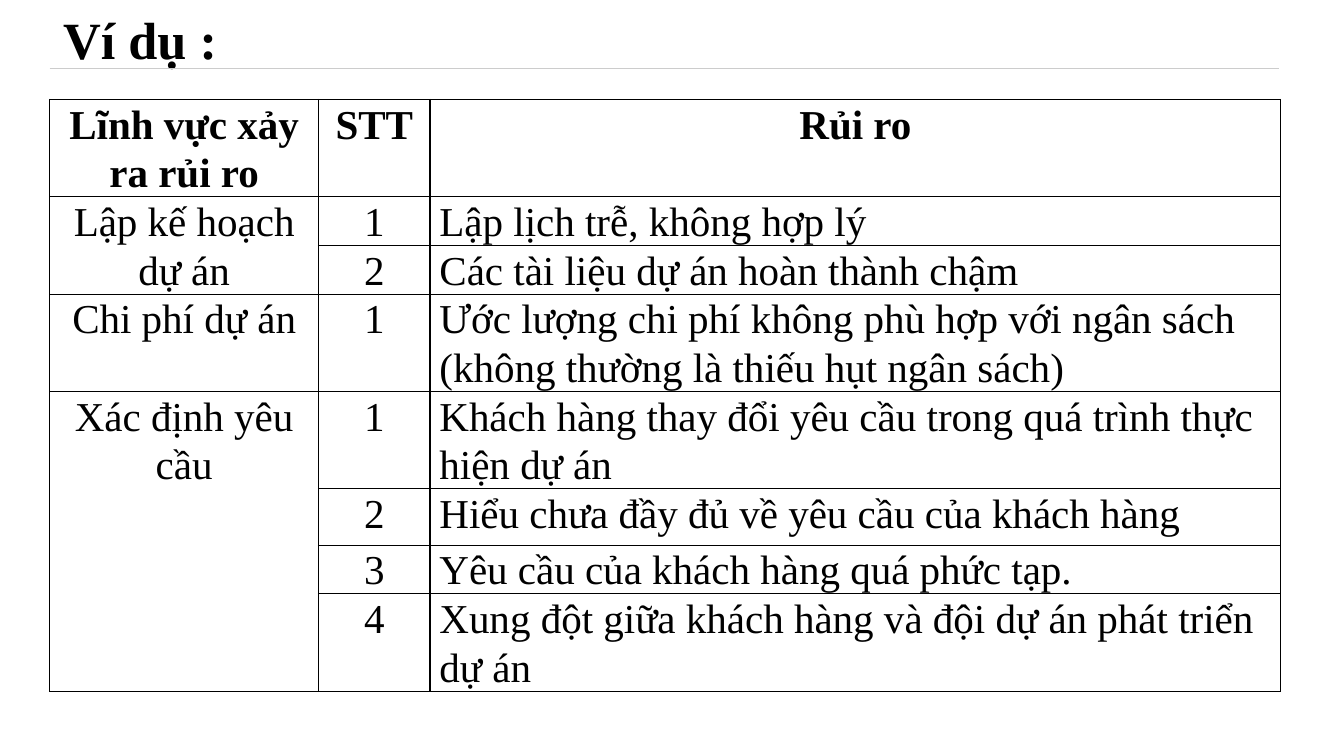
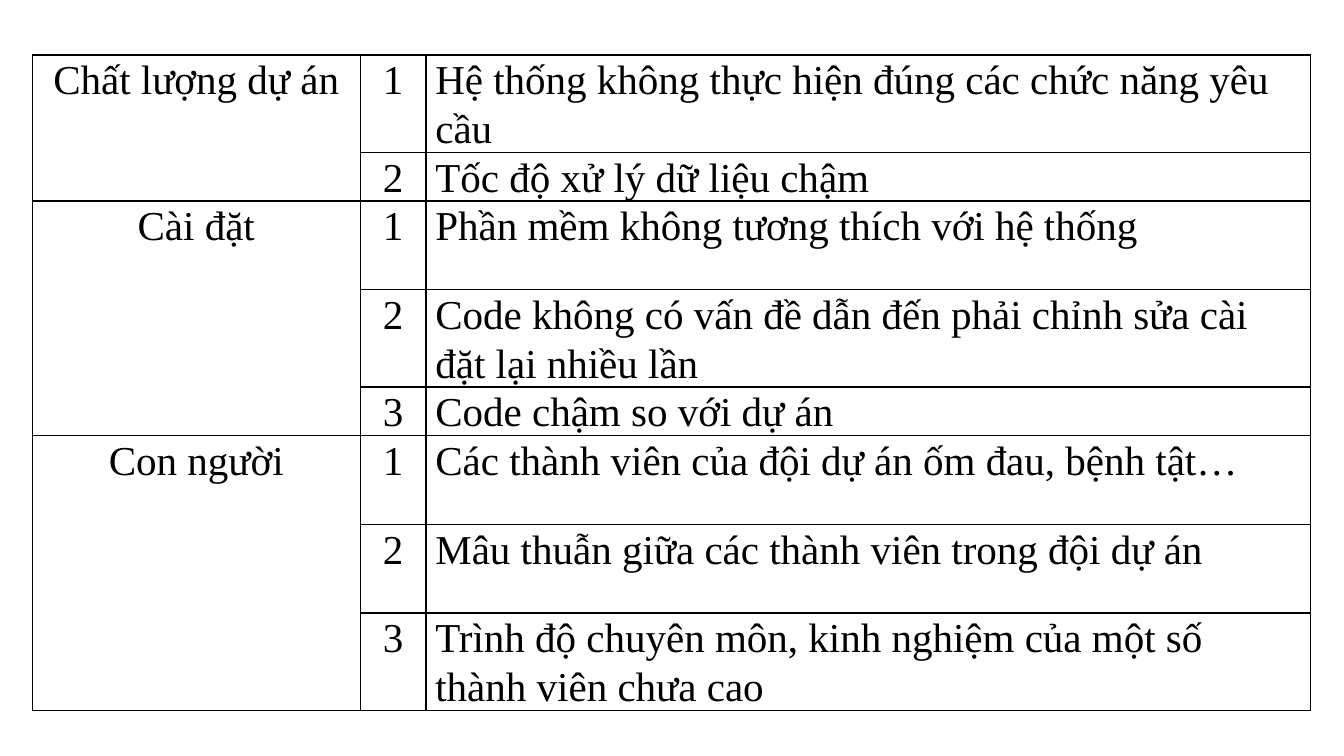
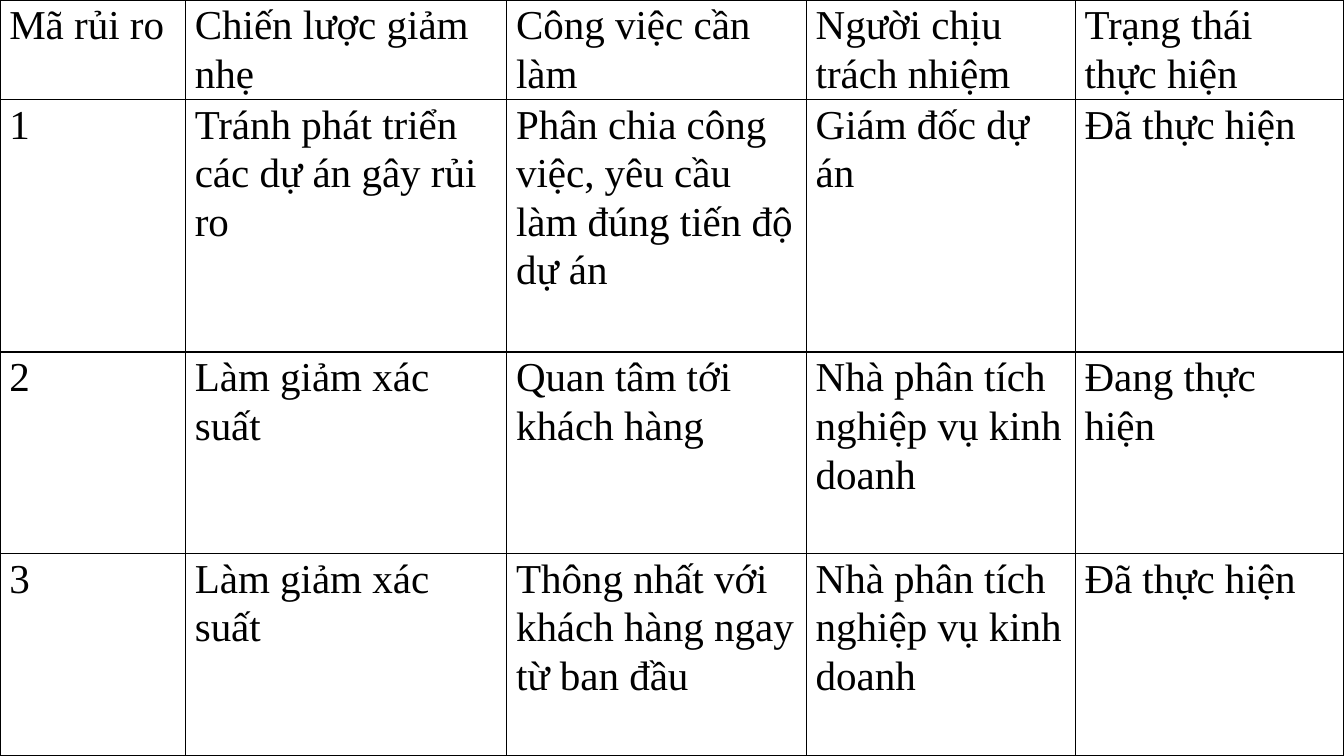
from lxml import etree
from pptx import Presentation
from pptx.dml.color import RGBColor
from pptx.enum import shapes, text
from pptx.oxml import ns
from pptx.util import Inches, Pt

BLACK = RGBColor(0x00, 0x00, 0x00)
WHITE = RGBColor(0xFF, 0xFF, 0xFF)
RULE_GREY = RGBColor(0xCC, 0xCC, 0xCC)
LEFT, CENTER = text.PP_ALIGN.LEFT, text.PP_ALIGN.CENTER
TITLE_ONLY, BLANK = 5, 6


class Deck:
    FONT = "Times New Roman"
    TITLE_SIZE = Pt(28)
    CELL_SIZE = Pt(22)
    LINE_WIDTH = Pt(0.75)
    LINE_SPACING = 1.07
    TITLE_INSET = Inches(0.1)
    CELL_INSET = Inches(0.07)

    def __init__(self, width, height):
        self.prs = Presentation()
        self.prs.slide_width = Inches(width)
        self.prs.slide_height = Inches(height)
        self.slide = None

    def add_slide(self, layout=BLANK):
        self.slide = self.prs.slides.add_slide(self.prs.slide_layouts[layout])
        fill = self.slide.background.fill
        fill.solid()
        fill.fore_color.rgb = WHITE

    def run(self, p, words, size, bold=False):
        r = p.add_run()
        r.text = words
        r.font.name = self.FONT
        r.font.size = size
        r.font.bold = bold
        r.font.color.rgb = BLACK

    def title(self, words, left, top, width, height):
        sp = self.slide.shapes.title
        sp.left, sp.top = Inches(left), Inches(top)
        sp.width, sp.height = Inches(width), Inches(height)
        tf = sp.text_frame
        tf.word_wrap = True
        tf.auto_size = text.MSO_AUTO_SIZE.NONE
        tf.vertical_anchor = text.MSO_ANCHOR.MIDDLE
        tf.margin_left = tf.margin_right = self.TITLE_INSET
        tf.margin_top = tf.margin_bottom = self.TITLE_INSET
        p = tf.paragraphs[0]
        p.alignment = LEFT
        self.run(p, words, self.TITLE_SIZE, bold=True)

    def rule(self, left, top, width):
        line = self.slide.shapes.add_connector(
            shapes.MSO_CONNECTOR.STRAIGHT, Inches(left), Inches(top),
            Inches(left + width), Inches(top))
        line.line.color.rgb = RULE_GREY
        line.line.width = self.LINE_WIDTH
        etree.SubElement(line._element.spPr, ns.qn("a:effectLst"))

    def border(self, cell):
        tcPr = cell._tc.get_or_add_tcPr()
        for side in ("lnL", "lnR", "lnT", "lnB"):
            ln = etree.SubElement(tcPr, ns.qn("a:" + side), w=str(self.LINE_WIDTH))
            fill = etree.SubElement(ln, ns.qn("a:solidFill"))
            etree.SubElement(fill, ns.qn("a:srgbClr"), val=str(BLACK))

    def cell(self, cell, words, align, bold):
        self.border(cell)
        cell.fill.background()
        cell.margin_left = cell.margin_right = self.CELL_INSET
        cell.margin_top = cell.margin_bottom = 0
        p = cell.text_frame.paragraphs[0]
        p.alignment = align
        p.line_spacing = self.LINE_SPACING
        if words:
            self.run(p, words, self.CELL_SIZE, bold)

    def table(self, left, top, height, widths, row_heights, rows, aligns,
              header=False):
        """Draw rows of text; None joins a cell to the one above it."""
        frame = self.slide.shapes.add_table(
            len(rows), len(widths), Inches(left), Inches(top),
            Inches(sum(widths)), Inches(height))
        table = frame.table
        table.first_row = table.horz_banding = False
        for column, width in zip(table.columns, widths):
            column.width = Inches(width)
        for row, row_height in zip(table.rows, row_heights):
            row.height = Inches(row_height)
        frame.height = Inches(height)  # rows grow with their text
        for i, row in enumerate(rows):
            for j, words in enumerate(row):
                bold = header and i == 0
                align = CENTER if bold else aligns[j]
                self.cell(table.cell(i, j), words, align, bold)
        for j in range(len(widths)):
            starts = [i for i, row in enumerate(rows) if row[j] is not None]
            for start, end in zip(starts, starts[1:] + [len(rows)]):
                if end - start > 1:
                    table.cell(start, j).merge(table.cell(end - 1, j))


def numbered_rows(areas):
    """Number the risks of each area and name the area only once."""
    return [(area if n == 1 else None, str(n), risk)
            for area, risks in areas
            for n, risk in enumerate(risks, 1)]


RISK_HEADER = ("Lĩnh vực xảy ra rủi ro", "STT", "Rủi ro")
RISK_ALIGNS = (CENTER, CENTER, LEFT)

PLANNING_RISKS = [
    ("Lập kế hoạch dự án", [
        "Lập lịch trễ, không hợp lý",
        "Các tài liệu dự án hoàn thành chậm"]),
    ("Chi phí dự án", [
        "Ước lượng chi phí không phù hợp với ngân sách "
        "(không thường là thiếu hụt ngân sách)"]),
    ("Xác định yêu cầu", [
        "Khách hàng thay đổi yêu cầu trong quá trình thực hiện dự án",
        "Hiểu chưa đầy đủ về yêu cầu của khách hàng",
        "Yêu cầu của khách hàng quá phức tạp.",
        "Xung đột giữa khách hàng và đội dự án phát triển dự án"]),
]

DELIVERY_RISKS = [
    ("Chất lượng dự án", [
        "Hệ thống không thực hiện đúng các chức năng yêu cầu",
        "Tốc độ xử lý dữ liệu chậm"]),
    ("Cài đặt", [
        "Phần mềm không tương thích với hệ thống",
        "Code không có vấn đề dẫn đến phải chỉnh sửa cài đặt lại nhiều lần",
        "Code chậm so với dự án"]),
    ("Con người", [
        "Các thành viên của đội dự án ốm đau, bệnh tật…",
        "Mâu thuẫn giữa các thành viên trong đội dự án",
        "Trình độ chuyên môn, kinh nghiệm của một số thành viên chưa cao"]),
]

MITIGATION_ROWS = [
    ("Mã rủi ro", "Chiến lược giảm nhẹ", "Công việc cần làm",
     "Người chịu trách nhiệm", "Trạng thái thực hiện"),
    ("1", "Tránh phát triển các dự án gây rủi ro",
     "Phân chia công việc, yêu cầu làm đúng tiến độ dự án",
     "Giám đốc dự án", "Đã thực hiện"),
    ("2", "Làm giảm xác suất", "Quan tâm tới khách hàng",
     "Nhà phân tích nghiệp vụ kinh doanh", "Đang thực hiện"),
    ("3", "Làm giảm xác suất", "Thông nhất với khách hàng ngay từ ban đầu",
     "Nhà phân tích nghiệp vụ kinh doanh", "Đã thực hiện"),
]


def main():
    deck = Deck(10, 10 * 9 / 16)

    deck.add_slide(TITLE_ONLY)
    deck.title("Ví dụ :", 0.37, 0.09, 1.57, 0.4)
    deck.rule(0.37, 0.51, 9.15)
    deck.table(0.37, 0.74, 4.74, (2, 0.83, 6.33),
               (0.21, 0.21, 0.21, 0.42, 0.42, 0.42, 0.21, 0.42),
               [RISK_HEADER] + numbered_rows(PLANNING_RISKS),
               RISK_ALIGNS, header=True)

    deck.add_slide()
    deck.table(0.24, 0.41, 5.13, (2.44, 0.49, 6.58),
               (0.67, 0.32, 0.66, 0.67, 0.32, 0.66, 0.66, 0.67),
               numbered_rows(DELIVERY_RISKS), RISK_ALIGNS)

    deck.add_slide()
    deck.table(0, 0, 5.64, (1.38, 2.39, 2.23, 2, 2), (0.74, 1.88, 1.5, 1.5),
               MITIGATION_ROWS, (LEFT,) * 5)

    deck.prs.save("out.pptx")


if __name__ == "__main__":
    main()
